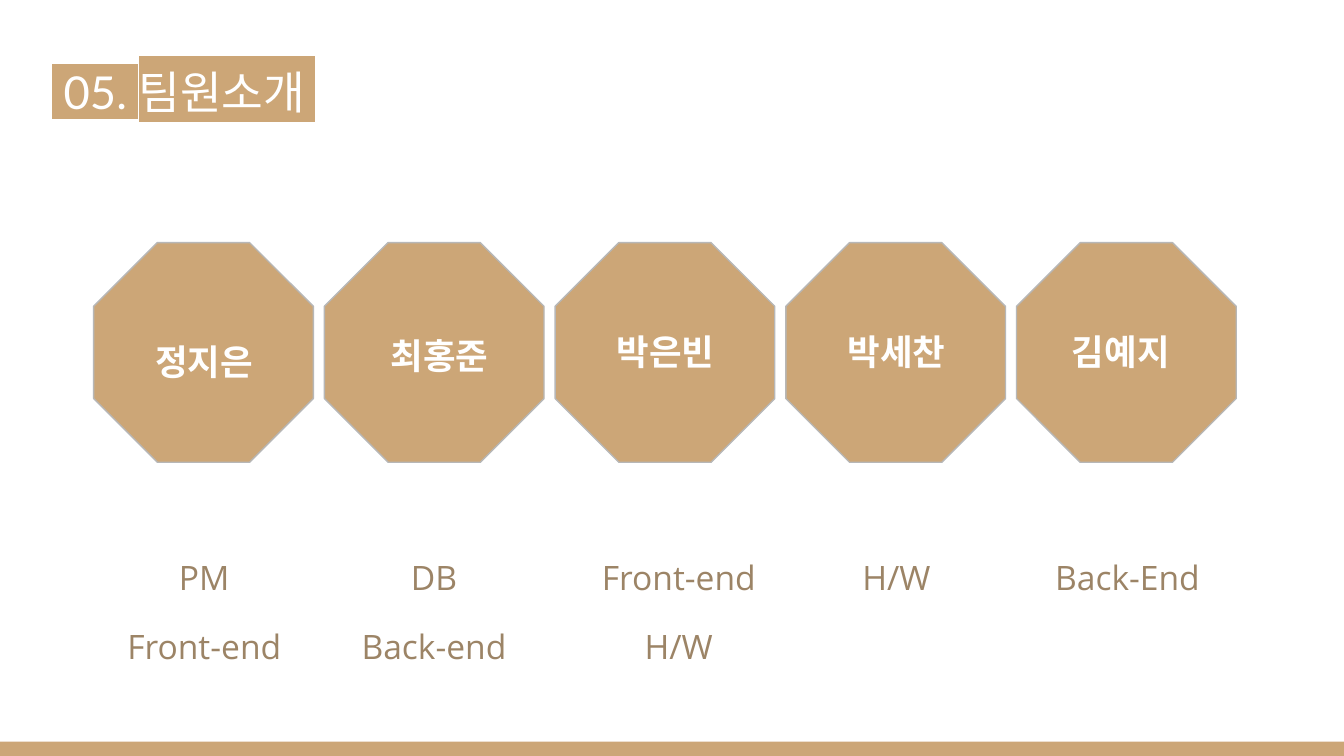
"""Build the team slide: title, five octagons with names, and roles."""
from dataclasses import dataclass

import lxml.etree
import pptx
import pptx.dml.color
import pptx.enum.shapes
import pptx.enum.text
import pptx.oxml.ns
import pptx.shapes.autoshape
import pptx.slide
import pptx.util

Pt = pptx.util.Pt
Shape = pptx.enum.shapes.MSO_SHAPE
Align = pptx.enum.text.PP_ALIGN
Anchor = pptx.enum.text.MSO_ANCHOR


@dataclass(frozen=True)
class Theme:
    """Colours, fonts and type sizes."""
    tan: str = "CCA677"
    brown: str = "9C8466"
    grey: str = "B7B7B7"
    white: str = "FFFFFF"
    body: str = "Open Sans"
    head: str = "Lato"
    title: float = 24.3
    name: float = 19
    role: float = 18


@dataclass(frozen=True)
class Box:
    """A frame in points."""
    left: float
    top: float
    width: float
    height: float

    def lengths(self) -> list[pptx.util.Length]:
        """Return the frame as slide lengths."""
        return [Pt(n) for n in (self.left, self.top, self.width, self.height)]


@dataclass(frozen=True)
class Member:
    """A team member, with the places of the name and the roles."""
    name: str
    roles: tuple[str, ...]
    name_left: float
    name_top: float
    role_left: float


THEME = Theme()
WIDTH, HEIGHT = 720, 405
BAR = 7.6
SIDE, PITCH, LEFT, TOP = 117.7, 123.6, 50.2, 130
LABEL = 103.7
TEAM = (
    Member("정지은", ("PM", "Front-end"), 57.6, 175, 57.6),
    Member("최홍준", ("DB", "Back-end"), 183.6, 171.5, 180.7),
    Member("박은빈", ("Front-end", "H/W"), 304.6, 169.6, 311.8),
    Member("박세찬", ("H/W",), 428.4, 169.6, 428.4),
    Member("김예지", ("Back-End",), 548.6, 169.6, 552.2),
)


def colour(code: str) -> pptx.dml.color.RGBColor:
    """Turn a hex code into a colour."""
    return pptx.dml.color.RGBColor.from_string(code)


def add_form(slide: pptx.slide.Slide, kind: Shape, box: Box,
             line: str | None = None) -> pptx.shapes.autoshape.Shape:
    """Draw a tan shape with an optional thin outline."""
    form = slide.shapes.add_shape(kind, *box.lengths())
    form.shadow.inherit = False
    form.fill.solid()
    form.fill.fore_color.rgb = colour(THEME.tan)
    if line:
        form.line.color.rgb = colour(line)
        form.line.width = Pt(0.75)
    else:
        form.line.fill.background()
    return form


def add_text(slide: pptx.slide.Slide, box: Box, *lines: str, size: float,
             ink: str, font: str = THEME.body, bold: bool = False,
             align: Align = Align.CENTER, anchor: Anchor = Anchor.TOP,
             space: float = 1, gap: float = 0, mark: str | None = None) -> None:
    """Write one paragraph per line in a text box."""
    frame = slide.shapes.add_textbox(*box.lengths()).text_frame
    frame.word_wrap = True
    frame.vertical_anchor = anchor
    frame.margin_left = frame.margin_right = Pt(7.2)
    frame.margin_top = frame.margin_bottom = Pt(7.2)
    for spot, line in enumerate(lines):
        para = frame.add_paragraph() if spot else frame.paragraphs[0]
        para.alignment = align
        para.line_spacing = space
        para.space_before = Pt(gap if spot else 0)
        run = para.add_run()
        run.text = line
        run.font.size = Pt(size)
        run.font.bold = bold
        run.font.color.rgb = colour(ink)
        run.font.name = font
        if mark:
            add_mark(run, mark)


def add_mark(run: object, code: str) -> None:
    """Highlight a run."""
    name = pptx.oxml.ns.qn
    mark = lxml.etree.Element(name("a:highlight"))
    lxml.etree.SubElement(mark, name("a:srgbClr"), val=code)
    run.font._element.find(name("a:latin")).addprevious(mark)


def add_member(slide: pptx.slide.Slide, spot: int, member: Member) -> None:
    """Draw a member's octagon, name and roles."""
    form = add_form(slide, Shape.OCTAGON,
                    Box(LEFT + spot * PITCH, TOP, SIDE, SIDE), THEME.grey)
    form.adjustments[0] = 0.29
    add_text(slide, Box(member.name_left, member.name_top, LABEL, 44.6),
             member.name, size=THEME.name, ink=THEME.white, bold=True)
    add_text(slide, Box(member.role_left, 288, LABEL, 89.3), *member.roles,
             size=THEME.role, ink=THEME.brown, space=1.15, gap=12)


def main() -> None:
    """Build and save the slide."""
    deck = pptx.Presentation()
    deck.slide_width, deck.slide_height = Pt(WIDTH), Pt(HEIGHT)
    slide = deck.slides.add_slide(deck.slide_layouts[6])
    add_form(slide, Shape.RECTANGLE, Box(0, HEIGHT - BAR, WIDTH, BAR))
    for spot, member in enumerate(TEAM):
        add_member(slide, spot, member)
    add_text(slide, Box(20.9, 29.5, 671, 41), " 05. 팀원소개 ",
             size=THEME.title, ink=THEME.white, font=THEME.head,
             align=Align.LEFT, anchor=Anchor.BOTTOM, mark=THEME.tan)
    deck.save("out.pptx")


if __name__ == "__main__":
    main()
